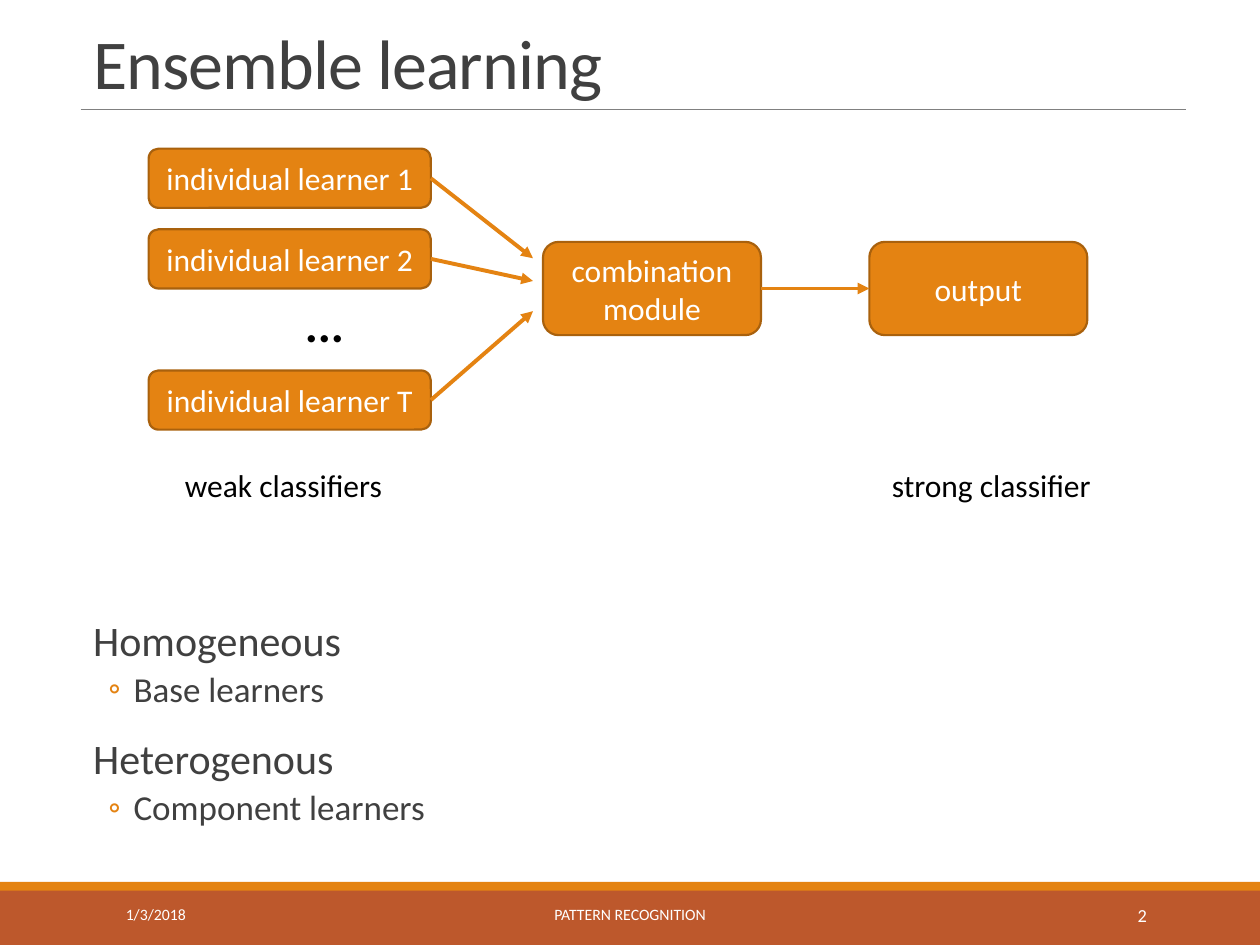
from dataclasses import dataclass

from lxml import etree
from pptx import Presentation
from pptx.dml.color import RGBColor
from pptx.enum import shapes, text
from pptx.oxml import ns
from pptx.util import Inches, Pt

ORANGE = RGBColor(0xE4, 0x83, 0x12)
BROWN = RGBColor(0xA9, 0x61, 0x0D)
RUST = RGBColor(0xBD, 0x58, 0x2C)
GREY = RGBColor(0x80, 0x80, 0x80)
DARK = RGBColor(0x40, 0x40, 0x40)
BLACK = RGBColor(0, 0, 0)
WHITE = RGBColor(0xFF, 0xFF, 0xFF)

LEFT, MIDDLE = text.PP_ALIGN.LEFT, text.MSO_ANCHOR.MIDDLE
CENTER, RIGHT = text.PP_ALIGN.CENTER, text.PP_ALIGN.RIGHT
TOP, BOTTOM = text.MSO_ANCHOR.TOP, text.MSO_ANCHOR.BOTTOM


@dataclass
class Box:
    words: str
    x: float
    y: float
    w: float
    h: float


@dataclass
class Label(Box):
    size: float
    color: RGBColor
    align: int = LEFT
    anchor: int = MIDDLE
    bold: bool = False


@dataclass
class Level:
    size: int
    margin: float
    indent: float
    before: int
    after: int
    mark: str = ""


@dataclass
class Arrow:
    x1: float
    y1: float
    x2: float
    y2: float


LEARN_X, LEARN_W, LEARN_H = 1.18, 2.24, 0.47
NODE_Y, NODE_W, NODE_H = 1.92, 1.73, 0.74
COMB_X, OUT_X = 4.31, 6.9
NODE_MID = NODE_Y + NODE_H / 2
FOOT_Y, FOOT_H = 7.06, 0.4

# name, top of box, height at which its arrow ends
LEARNERS = [("1", 1.18, 2.05), ("2", 1.82, 2.23), ("T", 2.94, 2.47)]
NODES = [Box("combination\nmodule", COMB_X, NODE_Y, NODE_W, NODE_H),
         Box("output", OUT_X, NODE_Y, NODE_W, NODE_H)]
LABELS = [
    Label("1/3/2018", 0.9, FOOT_Y, 2.03, FOOT_H, 9, WHITE),
    Label("PATTERN RECOGNITION", 3.02, FOOT_Y, 3.96, FOOT_H, 9, WHITE, CENTER),
    Label("2", 8.12, FOOT_Y, 1.08, FOOT_H, 10.5, WHITE, RIGHT),
    Label("...", 2.13, 2.28, 0.89, 0.57, 28, BLACK, CENTER, TOP, True),
    Label("weak classifiers", 1.37, 3.65, 1.87, 0.4, 18, BLACK, LEFT, TOP),
    Label("strong classifier", 6.98, 3.65, 1.87, 0.4, 18, BLACK, LEFT, TOP),
]
TITLE = Label("Ensemble learning", 0.64, 0.13, 8.77, 0.74, 40, DARK, LEFT, BOTTOM)

HEAD = Level(24, 0.1, 0, 12, 2)
ITEM = Level(20, 0.42, -0.2, 2, 4, "◦")
TYPES = [("Homogeneous", HEAD), ("Base learners", ITEM),
         ("Heterogenous", HEAD), ("Component learners", ITEM)]


def assign(obj, form: dict) -> None:
    for key, value in form.items():
        setattr(obj, key, value)


def style(font, size: float, color: RGBColor, bold: bool = False) -> None:
    assign(font, {"name": "Calibri", "size": Pt(size), "bold": bold})
    font.color.rgb = color


def place(box: Box) -> list:
    return [Inches(n) for n in (box.x, box.y, box.w, box.h)]


def write(frame, words: str, size: float, color: RGBColor,
          align: int, anchor: int, bold: bool = False) -> None:
    assign(frame, {"text": words, "word_wrap": True, "vertical_anchor": anchor})
    for para in frame.paragraphs:
        para.alignment = align
        for run in para.runs:
            style(run.font, size, color, bold)


def draw_label(slide, label: Label):
    frame = slide.shapes.add_textbox(*place(label)).text_frame
    write(frame, label.words, label.size, label.color,
          label.align, label.anchor, label.bold)
    return frame


def draw_title(slide) -> None:
    para = draw_label(slide, TITLE).paragraphs[0]
    para.line_spacing = 0.85
    para.runs[0].font._element.set("spc", "-50")


def draw_shape(slide, kind: int, box: Box, fill: RGBColor):
    shape = slide.shapes.add_shape(kind, *place(box))
    shape.shadow.inherit = False
    shape.fill.solid()
    shape.fill.fore_color.rgb = fill
    return shape


def draw_bar(slide, box: Box, fill: RGBColor) -> None:
    draw_shape(slide, shapes.MSO_SHAPE.RECTANGLE, box, fill).line.fill.background()


def draw_node(slide, box: Box) -> None:
    node = draw_shape(slide, shapes.MSO_SHAPE.ROUNDED_RECTANGLE, box, ORANGE)
    node.line.color.rgb = BROWN
    node.line.width = Pt(1.25)
    write(node.text_frame, box.words, 18, WHITE, CENTER, MIDDLE)


def draw_line(slide, path: Arrow, color: RGBColor, width: float,
              tip: bool = True) -> None:
    ends = [Inches(n) for n in (path.x1, path.y1, path.x2, path.y2)]
    line = slide.shapes.add_connector(shapes.MSO_CONNECTOR.STRAIGHT, *ends)
    line.line.color.rgb = color
    line.line.width = Pt(width)
    if tip:
        etree.SubElement(line.line._get_or_add_ln(), ns.qn("a:tailEnd"),
                         type="triangle")
    etree.SubElement(line._element.spPr, ns.qn("a:effectLst"))


def set_mark(para, level: Level) -> None:
    """Set the indents and the bullet of a paragraph."""
    props = para._p.get_or_add_pPr()
    props.set("marL", str(Inches(level.margin)))
    props.set("indent", str(Inches(level.indent)))
    if level.mark:
        tint = etree.SubElement(props, ns.qn("a:buClr"))
        etree.SubElement(tint, ns.qn("a:srgbClr"), val=str(ORANGE))
        etree.SubElement(props, ns.qn("a:buFont"), typeface="Calibri")
        etree.SubElement(props, ns.qn("a:buChar"), char=level.mark)
    else:
        etree.SubElement(props, ns.qn("a:buNone"))


def draw_list(slide) -> None:
    area = Box("", 0.64, 4.87, 8.77, 2.02)
    frame = slide.shapes.add_textbox(*place(area)).text_frame
    assign(frame, {"word_wrap": True, "margin_left": 0, "margin_right": 0})
    for i, (words, level) in enumerate(TYPES):
        para = frame.add_paragraph() if i else frame.paragraphs[0]
        set_mark(para, level)
        assign(para, {"line_spacing": 0.9, "space_after": Pt(level.after),
                      "space_before": Pt(level.before if i else 0)})
        run = para.add_run()
        run.text = words
        style(run.font, level.size, DARK)


def main() -> None:
    deck = Presentation()
    assign(deck, {"slide_width": Inches(10), "slide_height": Inches(7.5)})
    slide = deck.slides.add_slide(deck.slide_layouts[6])

    draw_bar(slide, Box("", 0, 7.06, 10, 0.44), RUST)
    draw_bar(slide, Box("", 0, 7, 10, 0.07), ORANGE)
    draw_line(slide, Arrow(0.64, 0.87, 9.41, 0.87), GREY, 0.5, tip=False)
    draw_title(slide)

    for name, y, end in LEARNERS:
        draw_node(slide, Box(f"individual learner {name}",
                             LEARN_X, y, LEARN_W, LEARN_H))
        draw_line(slide, Arrow(LEARN_X + LEARN_W, y + LEARN_H / 2, 4.23, end),
                  ORANGE, 2.25)
    for node in NODES:
        draw_node(slide, node)
    draw_line(slide, Arrow(COMB_X + NODE_W, NODE_MID, OUT_X, NODE_MID),
              ORANGE, 2.25)
    for label in LABELS:
        draw_label(slide, label)
    draw_list(slide)
    deck.save("out.pptx")


if __name__ == "__main__":
    main()
